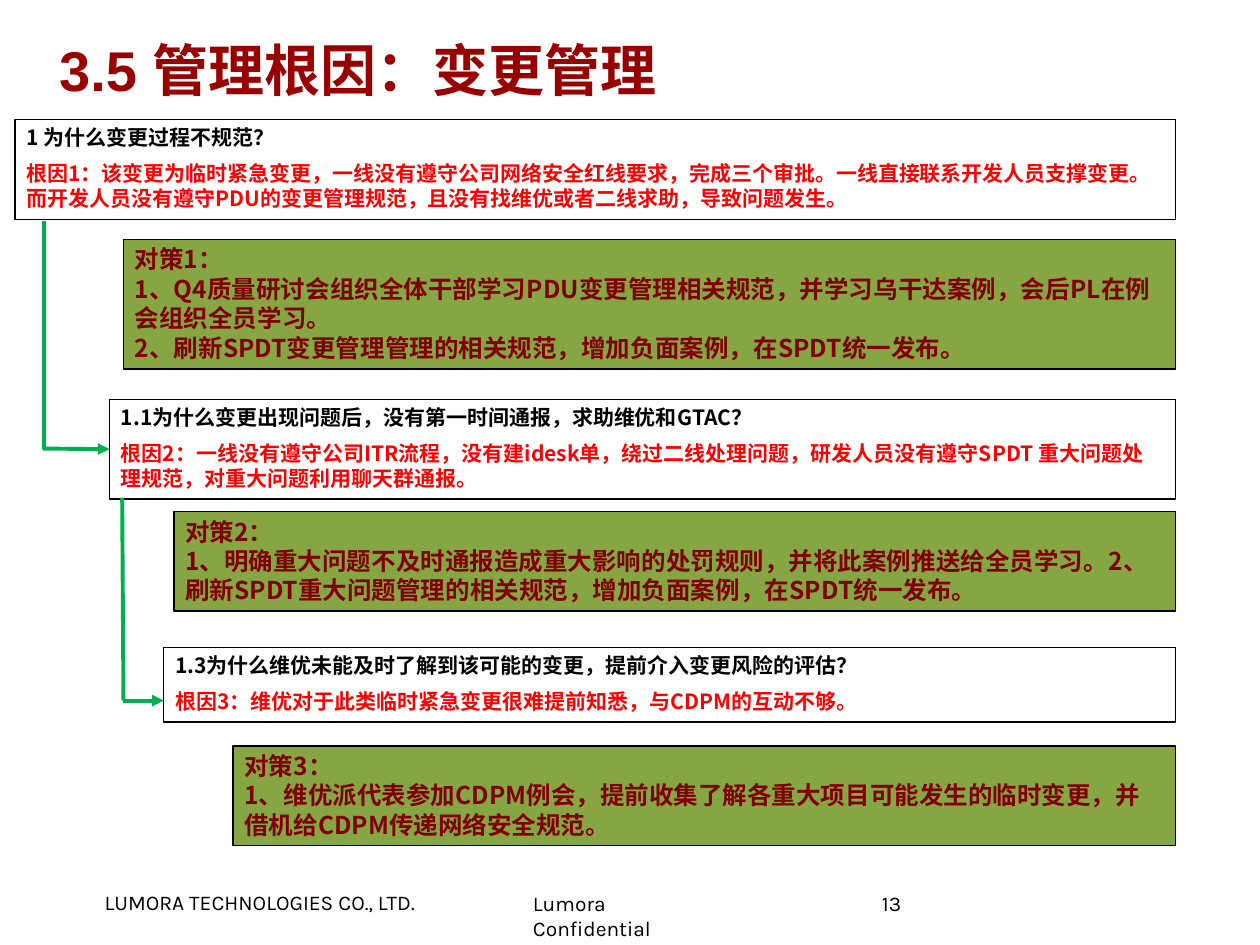
import lxml.etree
import pptx
import pptx.dml.color
import pptx.enum.shapes
import pptx.enum.text
import pptx.oxml.ns
import pptx.util

RGBColor = pptx.dml.color.RGBColor
BLACK = RGBColor(0x00, 0x00, 0x00)
RED = RGBColor(0xFF, 0x00, 0x00)
MAROON = RGBColor(0x80, 0x00, 0x00)
CRIMSON = RGBColor(0x99, 0x00, 0x00)
OLIVE = RGBColor(0x86, 0xA6, 0x44)
GREEN = RGBColor(0x00, 0xB0, 0x50)

COLS, ROWS = 100, 75
RIGHT = 93.3
CJK = "Noto Sans CJK SC"
TOP = pptx.enum.text.MSO_ANCHOR.TOP
MIDDLE = pptx.enum.text.MSO_ANCHOR.MIDDLE

CAUSES = [
    (1.2, 9.5, 7.9, "1 为什么变更过程不规范？",
     "根因1：该变更为临时紧急变更，一线没有遵守公司网络安全红线要求，完成三个审批。"
     "一线直接联系开发人员支撑变更。而开发人员没有遵守PDU的变更管理规范，"
     "且没有找维优或者二线求助，导致问题发生。"),
    (8.7, 31.7, 7.9, "1.1为什么变更出现问题后，没有第一时间通报，求助维优和GTAC？",
     "根因2：一线没有遵守公司ITR流程，没有建idesk单，绕过二线处理问题，"
     "研发人员没有遵守SPDT 重大问题处理规范，对重大问题利用聊天群通报。"),
    (13, 51.4, 5.9, "1.3为什么维优未能及时了解到该可能的变更，提前介入变更风险的评估？",
     "根因3：维优对于此类临时紧急变更很难提前知悉，与CDPM的互动不够。"),
]

FIXES = [
    (9.8, 19, 10.3, "对策1：",
     "1、Q4质量研讨会组织全体干部学习PDU变更管理相关规范，并学习乌干达案例，"
     "会后PL在例会组织全员学习。",
     "2、刷新SPDT变更管理管理的相关规范，增加负面案例，在SPDT统一发布。"),
    (13.8, 40.6, 7.9, "对策2：",
     "1、明确重大问题不及时通报造成重大影响的处罚规则，并将此案例推送给全员学习。"
     "2、刷新SPDT重大问题管理的相关规范，增加负面案例，在SPDT统一发布。"),
    (18.5, 59.2, 7.9, "对策3：",
     "1、维优派代表参加CDPM例会，提前收集了解各重大项目可能发生的临时变更，"
     "并借机给CDPM传递网络安全规范。"),
]


class Board:
    def __init__(self, deck):
        self.deck = deck
        self.slide = deck.slides.add_slide(deck.slide_layouts[6])

    def x(self, col):
        return round(self.deck.slide_width * col / COLS)

    def y(self, row):
        return round(self.deck.slide_height * row / ROWS)

    def area(self, left, top, wide, high):
        return self.x(left), self.y(top), self.x(wide), self.y(high)

    def fill_text(self, shape, lines, size, font, bold=False, gap=0,
                  anchor=TOP, pads=(0.9, 0.4), space=None):
        frame = shape.text_frame
        frame.word_wrap = True
        frame.vertical_anchor = anchor
        frame.margin_left = self.x(pads[0])
        frame.margin_right = self.x(0.9)
        frame.margin_top = frame.margin_bottom = self.y(pads[1])
        for i, (words, color) in enumerate(lines):
            para = frame.add_paragraph() if i else frame.paragraphs[0]
            para.alignment = pptx.enum.text.PP_ALIGN.LEFT
            para.space_before = pptx.util.Pt(gap if i else 0)
            if space:
                para.line_spacing = space
            run = para.add_run()
            run.text = words
            run.font.size = pptx.util.Pt(size)
            run.font.bold = bold
            run.font.color.rgb = color
            run.font.name = font
            east = lxml.etree.SubElement(
                run.font._element, pptx.oxml.ns.qn("a:ea"))
            east.set("typeface", CJK)

    def text(self, area, words, size, font, color=BLACK, **style):
        box = self.slide.shapes.add_textbox(*self.area(*area))
        self.fill_text(box, [(words, color)], size, font, **style)

    def box(self, left, top, high, lines, size, fill=None, gap=0):
        shape = self.slide.shapes.add_shape(
            pptx.enum.shapes.MSO_SHAPE.RECTANGLE,
            *self.area(left, top, RIGHT - left, high))
        shape.shadow.inherit = False
        if fill is None:
            shape.fill.background()
        else:
            shape.fill.solid()
            shape.fill.fore_color.rgb = fill
        shape.line.color.rgb = BLACK
        shape.line.width = pptx.util.Pt(0.75)
        self.fill_text(shape, lines, size, CJK, bold=True, gap=gap)
        return shape

    def line(self, start, end, arrow=False):
        link = self.slide.shapes.add_connector(
            pptx.enum.shapes.MSO_CONNECTOR.STRAIGHT,
            self.x(start[0]), self.y(start[1]), self.x(end[0]), self.y(end[1]))
        link.line.color.rgb = GREEN
        link.line.width = pptx.util.Pt(2.25)
        if arrow:
            tip = lxml.etree.SubElement(
                link.line._get_or_add_ln(), pptx.oxml.ns.qn("a:tailEnd"))
            tip.set("type", "triangle")
        lxml.etree.SubElement(
            link._element.spPr, pptx.oxml.ns.qn("a:effectLst"))
        return link


def main():
    deck = pptx.Presentation()
    deck.slide_width = pptx.util.Inches(10)
    deck.slide_height = pptx.util.Inches(7.5)
    board = Board(deck)

    board.text((4.7, 2.1, 84.7, 6.8), "3.5 管理根因：变更管理", 32, "Arial",
               CRIMSON, bold=True, anchor=MIDDLE, pads=(0, 0.4))

    boxes = [
        board.box(left, top, high, [(ask, BLACK), (cause, RED)], 12, gap=6)
        for left, top, high, ask, cause in CAUSES
    ]
    for left, top, high, *lines in FIXES:
        board.box(left, top, high, [(words, MAROON) for words in lines],
                  14, OLIVE)

    board.line((3.5, 17.5), (3.5, 35.6))
    join = board.line((3.4, 35.6), (8.7, 35.6), arrow=True)
    join.end_connect(boxes[1], 1)
    board.line((9.7, 39.5), (9.8, 55.6))
    board.line((9.8, 55.6), (13, 55.6), arrow=True)

    board.text((8.3, 70.6, 27.8, 2), "LUMORA TECHNOLOGIES CO., LTD.",
               12, "Karla", pads=(0, 0))
    board.text((41.4, 70.7, 16.7, 2), "Lumora Confidential",
               12, "Karla", pads=(0.9, 0))
    board.text((70, 71, 19.3, 4), "13", 12, "Karla", pads=(0, 0), space=0.85)

    deck.save("out.pptx")


if __name__ == "__main__":
    main()
